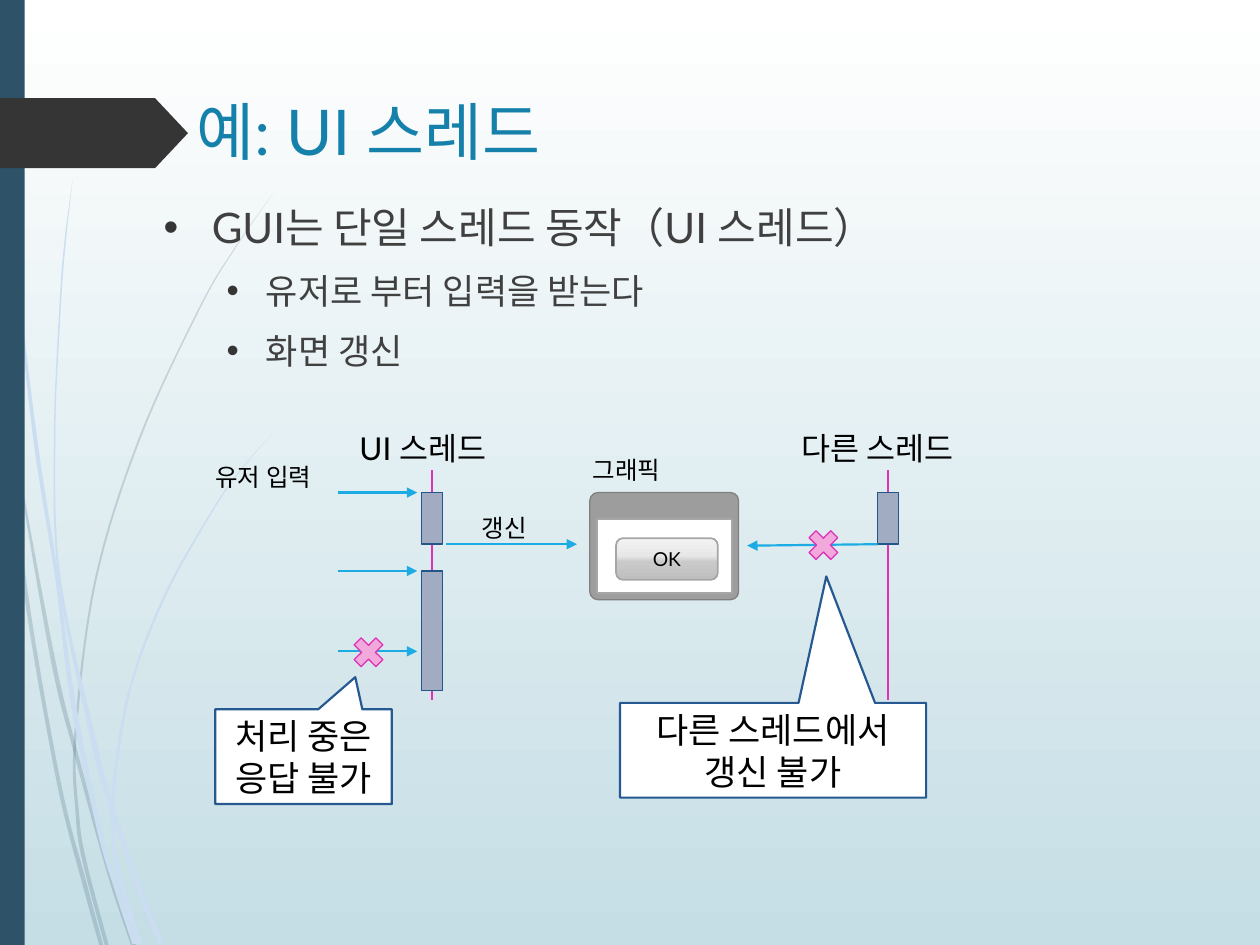
import copy
from dataclasses import dataclass

import pptx
import pptx.dml.color
import pptx.enum.dml
import pptx.enum.shapes
import pptx.enum.text
import pptx.oxml
import pptx.oxml.ns
import pptx.util

Cm = pptx.util.Cm
Pt = pptx.util.Pt
SHAPE = pptx.enum.shapes.MSO_SHAPE
ALIGN = pptx.enum.text.PP_ALIGN
ANCHOR = pptx.enum.text.MSO_ANCHOR


@dataclass(frozen=True)
class Theme:
    font: str = "Lato"
    title: str = "1581AA"
    body: str = "404040"
    black: str = "000000"
    white: str = "FFFFFF"
    dark: str = "353535"
    band: str = "2E5369"
    pale_blue: str = "CBDDF1"
    bar: str = "A1ABC1"
    bar_edge: str = "24558B"
    arrow: str = "1CACE3"
    pink: str = "DE31B6"
    pale_pink: str = "F1A8DB"
    callout_edge: str = "265991"
    window: str = "9D9D9D"
    window_edge: str = "808080"
    control_edge: str = "A6A6A6"
    background: tuple = ((0, "FFFFFF"), (1, "C5DEE5"))
    button: tuple = ((0, "F2F2F2"), (0.42, "E8E8E8"), (0.57, "C9C9C9"), (1, "BFBFBF"))
    title_size: int = 36
    body_sizes: tuple = (24, 20)
    callout_size: int = 20
    thread_size: int = 18
    label_size: int = 14
    button_size: int = 11


THEME = Theme()

# Each blade of grass is a list of (centre x, y, width) in centimetres.
GREY_BLADES = [
    [(0.25, 9.1, 0.05), (0.52, 11.94, 0.08), (1.18, 15.75, 0.08), (1.7, 17.8, 0.09),
     (2.04, 19.05, 0.08)],
    [(0.25, 8.76, 0.02), (1.05, 13.21, 0.09), (1.52, 15.14, 0.08), (2.2, 17.6, 0.08),
     (2.69, 19.05, 0.1)],
    [(5.51, 3.89, 0), (4.74, 5, 0.02), (4.03, 6.2, 0.03), (2.81, 8.85, 0.04),
     (1.92, 11.72, 0.04), (1.52, 14.83, 0.05), (1.56, 16.41, 0.07), (1.7, 17.35, 0.08),
     (2.15, 19.05, 0.08)],
]
BLUE_BLADES = [
    [(0.14, 2.7, 0.03), (0.37, 5.8, 0.04), (0.72, 8.92, 0.08), (1.15, 11.68, 0.07),
     (1.47, 14.14, 0.1), (2, 16.71, 0.1), (2.37, 18, 0.08), (2.71, 19.03, 0.08)],
    [(1.47, 3.58, 0), (1.31, 4.9, 0.03), (1.21, 6.22, 0.03), (1.1, 8.86, 0.03),
     (1.2, 11.68, 0.05), (1.9, 14.99, 0.11), (2.26, 16.3, 0.1), (2.82, 17.95, 0.11),
     (3.25, 19.03, 0.1)],
    [(5.49, 8.74, 0), (4.85, 9.48, 0.02), (4.28, 10.3, 0.03), (3.3, 12.06, 0.05),
     (2.59, 14, 0.05), (2.27, 16.05, 0.07), (2.28, 16.66, 0.07), (2.37, 17.55, 0.1),
     (2.81, 19.03, 0.12)],
]


def rgb(value):
    return pptx.dml.color.RGBColor.from_string(value)


def xml(tag, **attributes):
    element = pptx.oxml.parse_xml(f"<{tag} {pptx.oxml.ns.nsdecls('a')}/>")
    for name, value in attributes.items():
        element.set(name, str(value))
    return element


def paint_gradient(fill, owner, stops):
    """Fill from top to bottom; owner is the XML element that holds the fill."""
    fill.gradient()
    fill.gradient_angle = 270
    stop_list = next(owner.iter(pptx.oxml.ns.qn("a:gsLst")))
    while len(stop_list) < len(stops):
        stop_list.append(copy.deepcopy(stop_list[-1]))
    for stop, (position, color) in zip(fill.gradient_stops, stops):
        stop.position = position
        stop.color.rgb = rgb(color)


def paint(shape, fill, edge=None, width=0.75):
    shape.shadow.inherit = False
    shape.fill.solid()
    shape.fill.fore_color.rgb = rgb(fill)
    if edge:
        shape.line.color.rgb = rgb(edge)
        shape.line.width = Pt(width)
    else:
        shape.line.fill.background()
    return shape


def add_block(shapes, kind, box, fill, edge=None, width=0.75, adjustments=()):
    shape = shapes.add_shape(kind, *map(Cm, box))
    for index, value in enumerate(adjustments):
        shape.adjustments[index] = value
    return paint(shape, fill, edge, width)


def write(paragraph, text, size, color=THEME.black, align=ALIGN.LEFT):
    paragraph.alignment = align
    run = paragraph.add_run()
    run.text = text
    run.font.name = THEME.font
    run.font.size = Pt(size)
    run.font.color.rgb = rgb(color)


def write_centred(shape, text, size):
    shape.text_frame.word_wrap = True
    shape.text_frame.vertical_anchor = ANCHOR.MIDDLE
    write(shape.text_frame.paragraphs[0], text, size, align=ALIGN.CENTER)


def add_text(shapes, box, wrap=True, anchor=ANCHOR.TOP):
    frame = shapes.add_textbox(*map(Cm, box)).text_frame
    frame.word_wrap = wrap
    frame.vertical_anchor = anchor
    return frame


def add_label(shapes, box, text, size):
    write(add_text(shapes, box, wrap=False).paragraphs[0], text, size, align=ALIGN.CENTER)


def add_line(shapes, start, end, color, width, arrow=False):
    line = shapes.add_connector(pptx.enum.shapes.MSO_CONNECTOR.STRAIGHT, *map(Cm, start + end))
    line.line.color.rgb = rgb(color)
    line.line.width = Pt(width)
    if arrow:
        line.line._get_or_add_ln().append(xml("a:tailEnd", type="triangle"))
    line._element.spPr.append(xml("a:effectLst"))


def smooth(points, steps=8):
    """Sample a Catmull-Rom curve through the points."""
    padded = [points[0], *points, points[-1]]
    curve = []
    for a, b, c, d in zip(padded, padded[1:], padded[2:], padded[3:]):
        for t in (step / steps for step in range(steps)):
            curve.append(tuple(
                q + ((r - p) * t + (2 * p - 5 * q + 4 * r - s) * t ** 2
                     + (3 * q - p - 3 * r + s) * t ** 3) / 2
                for p, q, r, s in zip(a, b, c, d)))
    return curve + [points[-1]]


def add_blade(shapes, points, color, opacity=None):
    curve = smooth(points)
    outline = [(Cm(x - width / 2), Cm(y)) for x, y, width in curve]
    outline += [(Cm(x + width / 2), Cm(y)) for x, y, width in reversed(curve)]
    builder = shapes.build_freeform(*outline[0])
    builder.add_line_segments(outline[1:])
    blade = paint(builder.convert_to_shape(), color)
    if opacity:
        color_element = next(blade._element.spPr.iter(pptx.oxml.ns.qn("a:srgbClr")))
        color_element.append(xml("a:alpha", val=opacity * 1000))


def add_decoration(shapes):
    for blade in GREY_BLADES:
        add_blade(shapes, blade, THEME.band, opacity=20)
    for blade in BLUE_BLADES:
        add_blade(shapes, blade, THEME.pale_blue)
    add_block(shapes, SHAPE.RECTANGLE, (0, 0, 0.5, 19.05), THEME.band)
    add_block(shapes, SHAPE.PENTAGON, (0, 1.98, 3.79, 1.41), THEME.dark, adjustments=[0.47])


def add_bullets(shapes, box, items):
    frame = add_text(shapes, box)
    for index, (level, text) in enumerate(items):
        paragraph = frame.paragraphs[0] if index == 0 else frame.add_paragraph()
        margin, hanging = ((0.97, 0.97), (2.06, 0.79))[level]
        properties = paragraph._p.get_or_add_pPr()
        properties.set("marL", str(Cm(margin)))
        properties.set("indent", str(-Cm(hanging)))
        bullet_color = xml("a:buClr")
        bullet_color.append(xml("a:srgbClr", val=THEME.dark))
        properties.extend([bullet_color, xml("a:buFont", typeface="Arial"),
                           xml("a:buChar", char="•")])
        paragraph.space_before = Pt(4 if index else 0)
        paragraph.space_after = Pt(6)
        write(paragraph, text, THEME.body_sizes[level], THEME.body)


def add_thread(shapes, x, bars):
    """Draw a lifeline with its activity bars, given as (top, height)."""
    add_line(shapes, (x, 9.47), (x, 14.12), THEME.pink, 0.75)
    for top, height in bars:
        add_block(shapes, SHAPE.RECTANGLE, (x - 0.21, top, 0.42, height), THEME.bar, THEME.bar_edge)


def add_cross(shapes, left, top):
    add_block(shapes, SHAPE.MATH_MULTIPLY, (left, top, 0.84, 0.84), THEME.pale_pink, THEME.pink)


def add_window(shapes):
    parts = shapes.add_group_shape().shapes
    add_block(parts, SHAPE.ROUNDED_RECTANGLE, (11.89, 9.93, 3, 2.16), THEME.window,
              THEME.window_edge, adjustments=[0.075])
    add_block(parts, SHAPE.RECTANGLE, (12.04, 10.46, 2.72, 1.5), THEME.white, THEME.control_edge, 1)
    button = add_block(parts, SHAPE.ROUNDED_RECTANGLE, (12.42, 10.85, 2.05, 0.84), THEME.white,
                       THEME.control_edge, 1)
    paint_gradient(button.fill, button._element.spPr, THEME.button)
    write_centred(button, "OK", THEME.button_size)


def add_callout(shapes, box, tip, text):
    callout = add_block(shapes, SHAPE.RECTANGULAR_CALLOUT, box, THEME.white,
                        THEME.callout_edge, 1.25, tip)
    write_centred(callout, text, THEME.callout_size)


def main():
    presentation = pptx.Presentation()
    presentation.slide_width, presentation.slide_height = Cm(25.4), Cm(19.05)
    slide = presentation.slides.add_slide(presentation.slide_layouts[6])
    shapes = slide.shapes
    paint_gradient(slide.background.fill, slide._element, THEME.background)
    add_decoration(shapes)

    title = add_text(shapes, (3.71, 1.73, 19.94, 1.78), anchor=ANCHOR.MIDDLE)
    write(title.paragraphs[0], "예: UI 스레드", THEME.title_size, THEME.title)
    add_bullets(shapes, (3.05, 3.94, 20.65, 12.5), [
        (0, "GUI는 단일 스레드 동작（UI 스레드）"),
        (1, "유저로 부터 입력을 받는다"),
        (1, "화면 갱신"),
    ])

    add_thread(shapes, 8.71, [(9.93, 1.04), (11.51, 2.41)])
    add_thread(shapes, 17.9, [(9.93, 1.04)])
    for y in (9.93, 11.51, 13.13):
        add_line(shapes, (6.81, y), (8.41, y), THEME.arrow, 1.25, arrow=True)
    add_line(shapes, (8.99, 10.97), (11.63, 10.97), THEME.arrow, 1.25, arrow=True)
    add_line(shapes, (17.69, 10.97), (15.06, 11), THEME.arrow, 1.25, arrow=True)
    add_cross(shapes, 7.01, 12.73)
    add_cross(shapes, 16.18, 10.57)
    add_window(shapes)

    add_label(shapes, (6.91, 8.53, 3.23, 1.02), "UI 스레드", THEME.thread_size)
    add_label(shapes, (15.75, 8.53, 3.89, 1.02), "다른 스레드", THEME.thread_size)
    add_label(shapes, (3.99, 9.19, 2.64, 0.86), "유저 입력", THEME.label_size)
    add_label(shapes, (11.63, 9.04, 2.01, 0.86), "그래픽", THEME.label_size)
    add_label(shapes, (9.42, 10.21, 1.5, 0.86), "갱신", THEME.label_size)
    add_callout(shapes, (4.34, 14.3, 3.56, 1.91), (0.293, -0.84), "처리 중은 응답 불가")
    add_callout(shapes, (12.5, 14.17, 6.17, 1.91), (0.174, -1.835), "다른 스레드에서 갱신 불가")
    presentation.save("out.pptx")


if __name__ == "__main__":
    main()
